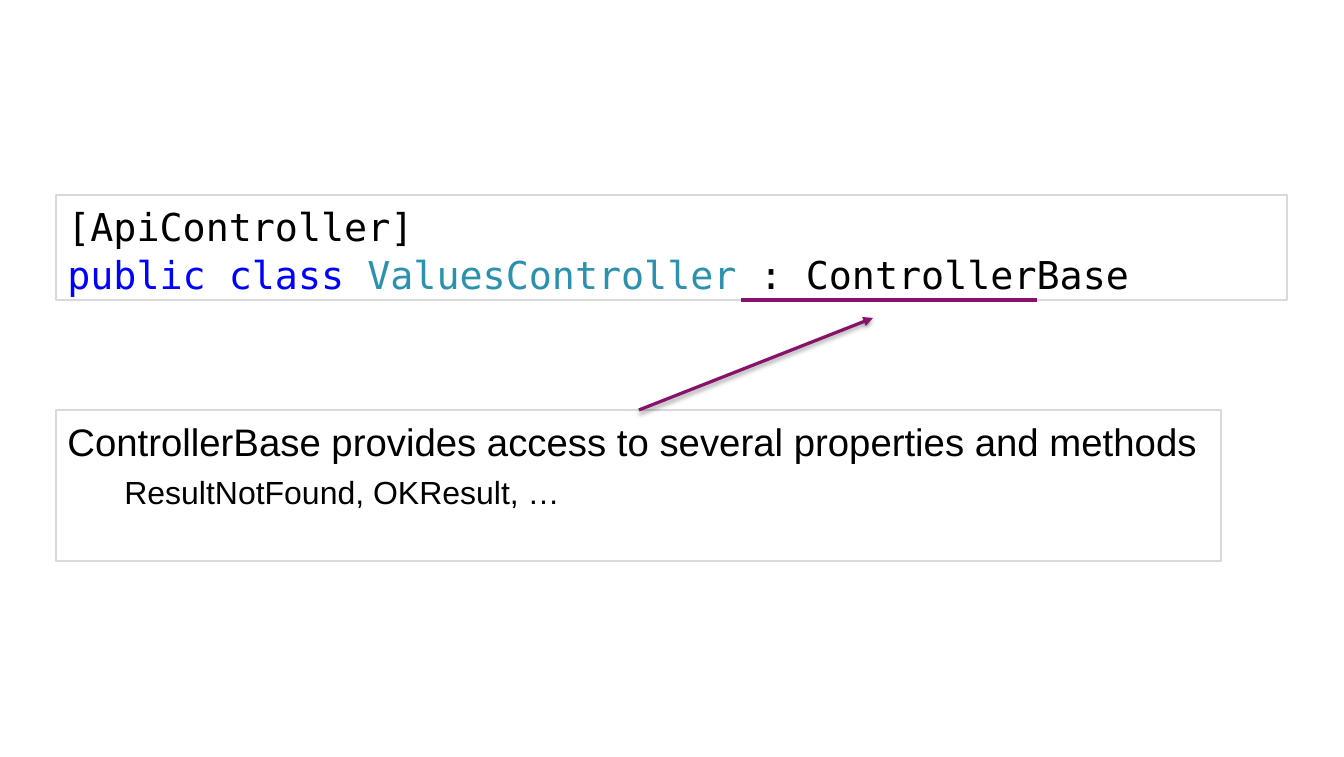
"""Build a slide that shows a controller class and explains its base class."""
from dataclasses import dataclass

from lxml import etree
from pptx import Presentation
from pptx.dml.color import RGBColor
from pptx.enum.shapes import MSO_CONNECTOR, MSO_SHAPE
from pptx.enum.text import MSO_ANCHOR, PP_ALIGN
from pptx.oxml.ns import qn
from pptx.slide import Slide
from pptx.util import Emu, Pt

RECT = MSO_SHAPE.RECTANGLE
STRAIGHT = MSO_CONNECTOR.STRAIGHT
LEFT = PP_ALIGN.LEFT
TOP = MSO_ANCHOR.TOP

SCALE = 914400 / 115
BLACK, BLUE, TEAL = "000000", "0000FF", "2B91AF"
GREY, PURPLE = "D9D9D9", "86126A"
INDENT = 57


@dataclass(frozen=True)
class Part:
    text: str
    color: str = BLACK
    size: int = 24


@dataclass(frozen=True)
class Box:
    left: int
    top: int
    width: int
    height: int
    font: str
    wrap: bool
    lines: tuple[tuple[Part, ...], ...]


@dataclass(frozen=True)
class Stroke:
    start: tuple[int, int]
    end: tuple[int, int]
    weight: int
    arrow: bool = False


BOXES = (
    Box(56, 195, 1231, 105, "DejaVu Sans Mono", True, (
        (Part("[ApiController]"),),
        (Part("public class ", BLUE), Part("ValuesController", TEAL),
         Part(" : ControllerBase")),
    )),
    Box(56, 410, 1165, 151, "Arial", False, (
        (Part("ControllerBase provides access to several properties and methods"),),
        (Part("\t"), Part("ResultNotFound, OKResult, …", size=20)),
    )),
)
STROKES = (
    Stroke((741, 300), (1037, 300), 3),
    Stroke((639, 410), (873, 318), 2, arrow=True),
)


def px(count: int) -> Emu:
    return Emu(round(count * SCALE))


def rgb(color: str) -> RGBColor:
    return RGBColor.from_string(color)


def draw_box(slide: Slide, box: Box) -> None:
    shape = slide.shapes.add_shape(
        RECT, px(box.left), px(box.top), px(box.width), px(box.height))
    shape.shadow.inherit = False
    shape.fill.background()
    shape.line.color.rgb = rgb(GREY)
    shape.line.width = Pt(0.75)
    frame = shape.text_frame
    frame.word_wrap = box.wrap
    frame.vertical_anchor = TOP
    for index, parts in enumerate(box.lines):
        para = frame.add_paragraph() if index else frame.paragraphs[0]
        para.alignment = LEFT
        para.line_spacing = 1.05
        if parts[0].text == "\t":
            tabs = etree.SubElement(para._p.get_or_add_pPr(), qn("a:tabLst"))
            etree.SubElement(tabs, qn("a:tab"), pos=str(px(INDENT)), algn="l")
        para.font.name = box.font
        para.font.size = Pt(parts[0].size)
        para.font.color.rgb = rgb(parts[0].color)
        for part in parts:
            run = para.add_run()
            run.text = part.text
            if part.size != parts[0].size:
                run.font.size = Pt(part.size)
            if part.color != parts[0].color:
                run.font.color.rgb = rgb(part.color)


def draw_stroke(slide: Slide, stroke: Stroke) -> None:
    line = slide.shapes.add_connector(
        STRAIGHT, *map(px, stroke.start), *map(px, stroke.end))
    line.line.color.rgb = rgb(PURPLE)
    line.line.width = Pt(stroke.weight)
    props = line._element.spPr
    effects = etree.SubElement(props, qn("a:effectLst"))
    if stroke.arrow:
        etree.SubElement(props.find(qn("a:ln")), qn("a:tailEnd"), type="triangle")
        shade = etree.SubElement(
            effects, qn("a:outerShdw"), blurRad="40000", dist="20000",
            dir="5400000", rotWithShape="0")
        tint = etree.SubElement(shade, qn("a:srgbClr"), val=BLACK)
        etree.SubElement(tint, qn("a:alpha"), val="38000")


def main() -> None:
    deck = Presentation()
    deck.slide_width, deck.slide_height = px(1344), px(757)
    slide = deck.slides.add_slide(deck.slide_layouts[6])
    for box in BOXES:
        draw_box(slide, box)
    for stroke in STROKES:
        draw_stroke(slide, stroke)
    deck.save("out.pptx")


if __name__ == "__main__":
    main()
